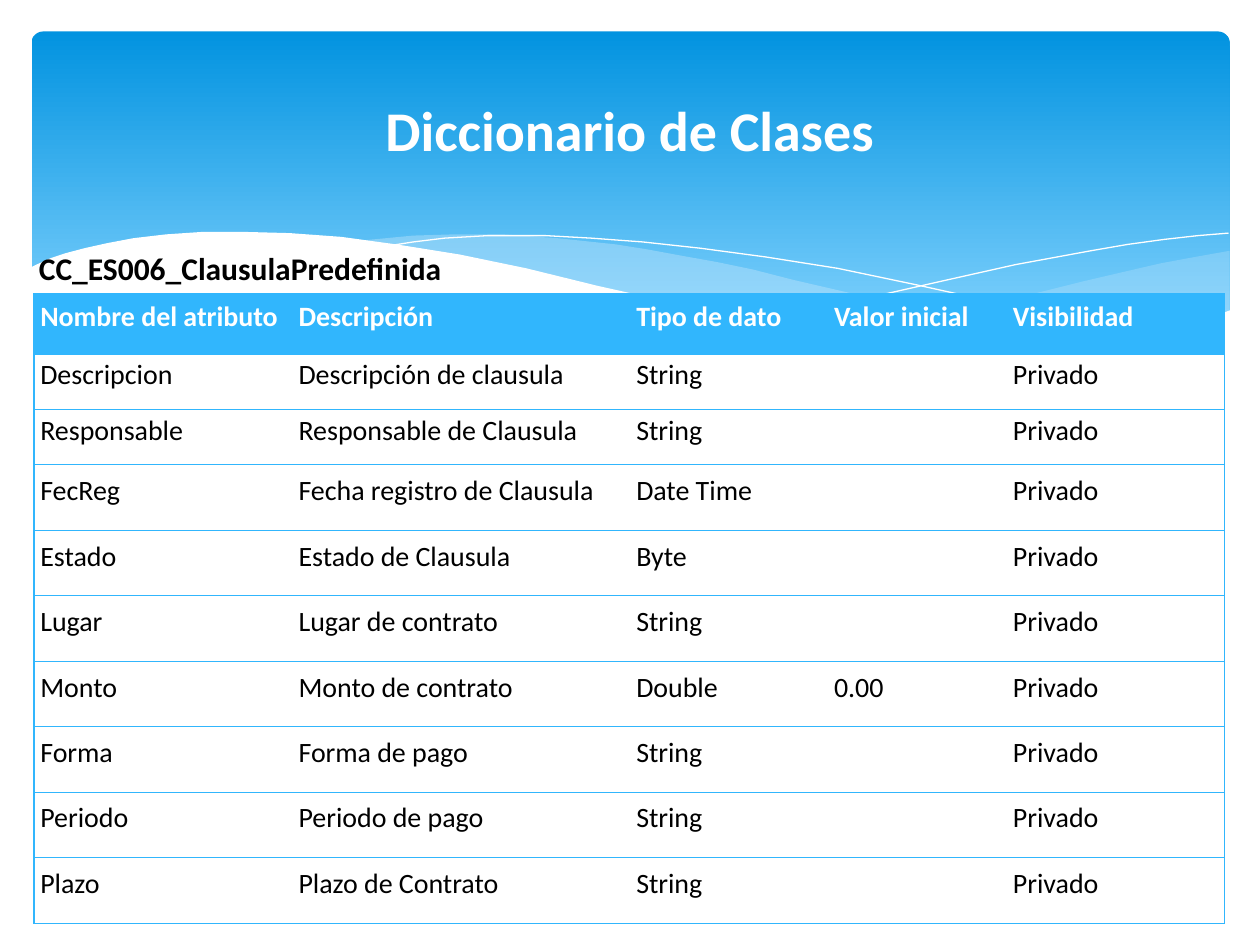
"""Build the class dictionary slide for the predefined clause."""
from lxml.etree import SubElement
from pptx import Presentation
from pptx.dml.color import RGBColor
from pptx.enum.shapes import MSO_SHAPE
from pptx.enum.text import MSO_ANCHOR, PP_ALIGN
from pptx.oxml import parse_xml
from pptx.oxml.ns import nsdecls, qn
from pptx.util import Inches, Pt

COLORS = {"sky": "0293E0", "light_sky": "83D3FE", "mist": "C6E7FC",
          "accent": "31B6FD", "white": "FFFFFF", "black": "000000"}


def write_text(text_frame, text, size=16, color="black", bold=False,
               align=PP_ALIGN.LEFT, spacing=None, anchor=MSO_ANCHOR.TOP):
    text_frame.word_wrap = True
    text_frame.vertical_anchor = anchor
    paragraph = text_frame.paragraphs[0]
    paragraph.alignment = align
    paragraph.line_spacing = spacing
    run = paragraph.add_run()
    run.text = text
    run.font.name = "Calibri"
    run.font.size = Pt(size)
    run.font.bold = bold
    run.font.color.rgb = RGBColor.from_string(COLORS[color])


def set_border(cell, side, position, visible):
    if visible:
        paint = f'<a:solidFill><a:srgbClr val="{COLORS["accent"]}"/></a:solidFill>'
    else:
        paint = "<a:noFill/>"
    border = parse_xml(f'<a:{side} {nsdecls("a")} w="{Pt(0.75)}">{paint}</a:{side}>')
    cell._tc.get_or_add_tcPr().insert(position, border)


presentation = Presentation()
presentation.slide_width = Inches(10)
presentation.slide_height = Inches(7.5)
slide = presentation.slides.add_slide(presentation.slide_layouts[6])

banner = slide.shapes.add_shape(MSO_SHAPE.ROUNDED_RECTANGLE, Inches(0.25), Inches(0.25),
                                Inches(9.51), Inches(2.7))
banner.adjustments[0] = 0.034
banner.shadow.inherit = False
banner.line.fill.background()
banner.fill.gradient()
banner.fill.gradient_angle = 270
for stop, position, color in zip(banner.fill.gradient_stops, (0, 0.9), ("sky", "light_sky")):
    stop.position = position
    stop.color.rgb = RGBColor.from_string(COLORS[color])

right_wave = [
    (9.76, 1.99), (9.48, 2.04), (9.21, 2.09), (8.91, 2.16), (8.61, 2.23), (8.05, 2.37),
    (7.53, 2.48), (7.06, 2.57), (6.61, 2.65), (6.91, 2.69), (7.32, 2.74), (7.69, 2.77),
    (8.03, 2.78), (8.35, 2.77), (8.63, 2.75), (8.89, 2.72), (9.13, 2.67), (9.35, 2.61),
    (9.63, 2.52), (9.76, 2.47)]
middle_wave = [
    (8.93, 2.73), (8.66, 2.69), (8.07, 2.6), (7.41, 2.48), (6.68, 2.31), (6.29, 2.22),
    (5.98, 2.14), (5.69, 2.08), (5.41, 2.03), (5.14, 1.98), (4.89, 1.94), (4.42, 1.89),
    (3.99, 1.86), (3.61, 1.86), (3.28, 1.87), (2.86, 1.91), (3.23, 1.96), (3.62, 2.03),
    (4.04, 2.11), (4.49, 2.22), (4.91, 2.32), (5.3, 2.4), (5.84, 2.52), (6.34, 2.61),
    (6.8, 2.68), (7.22, 2.74), (7.61, 2.77), (7.96, 2.78), (8.28, 2.78), (8.57, 2.77)]
falling_line = [
    (3.09, 1.95), (3.28, 1.92), (3.53, 1.89), (3.87, 1.87), (4.33, 1.87), (4.69, 1.89),
    (5.1, 1.92), (5.56, 1.97), (6.08, 2.04), (6.65, 2.13), (7.27, 2.26), (7.95, 2.41),
    (8.31, 2.51), (9.07, 2.72)]
rising_line = [
    (6.13, 2.57), (6.52, 2.46), (6.95, 2.35), (7.48, 2.23), (8.06, 2.1), (8.66, 1.99),
    (8.95, 1.94), (9.24, 1.9), (9.51, 1.87), (9.75, 1.85)]
front_wave = [
    (9.77, 2.46), (9.5, 2.56), (9.2, 2.65), (8.87, 2.71), (8.5, 2.75), (8.09, 2.77),
    (7.61, 2.75), (7.08, 2.7), (6.68, 2.65), (6.26, 2.58), (5.79, 2.5), (5.29, 2.39),
    (4.75, 2.27), (4.18, 2.13), (3.65, 2.02), (3.15, 1.94), (2.71, 1.88), (2.3, 1.85),
    (1.93, 1.84), (1.61, 1.84), (1.32, 1.86), (1.06, 1.89), (0.85, 1.93), (0.67, 1.97),
    (0.52, 2.01), (0.4, 2.05), (0.29, 2.1), (0.23, 2.13), (0.23, 3.29), (9.77, 3.29)]

for points, fill_color, opacity in (
        (right_wave, "mist", 29), (middle_wave, "mist", 40), (falling_line, None, 100),
        (rising_line, None, 100), (front_wave, "white", 100)):
    vertices = [(Inches(x), Inches(y)) for x, y in points]
    builder = slide.shapes.build_freeform(*vertices[0])
    builder.add_line_segments(vertices[1:], close=fill_color is not None)
    wave = builder.convert_to_shape()
    wave.shadow.inherit = False
    if fill_color is None:
        wave.fill.background()
        wave.line.color.rgb = RGBColor.from_string(COLORS["white"])
        wave.line.width = Pt(0)
    else:
        wave.line.fill.background()
        wave.fill.solid()
        wave.fill.fore_color.rgb = RGBColor.from_string(COLORS[fill_color])
        if opacity < 100:
            color_element = wave._element.spPr.find(qn("a:solidFill"))[0]
            SubElement(color_element, qn("a:alpha")).set("val", str(opacity * 1000))

title = slide.shapes.add_textbox(Inches(0.5), Inches(0.37), Inches(9), Inches(1.37))
write_text(title.text_frame, "Diccionario de Clases", size=32, color="white", bold=True,
           align=PP_ALIGN.CENTER, spacing=0.9, anchor=MSO_ANCHOR.MIDDLE)
class_name = slide.shapes.add_textbox(Inches(0.21), Inches(1.93), Inches(4.65), Inches(0.4))
write_text(class_name.text_frame, "CC_ES006_ClausulaPredefinida", size=18, bold=True)

rows = [("Nombre del atributo", "Descripción", "Tipo de dato", "Valor inicial", "Visibilidad")]
rows += [(name, description, data_type, initial, "Privado")
         for name, description, data_type, initial in (
             ("Descripcion", "Descripción de clausula", "String", ""),
             ("Responsable", "Responsable de Clausula", "String", ""),
             ("FecReg", "Fecha registro de Clausula", "Date Time", ""),
             ("Estado", "Estado de Clausula", "Byte", ""),
             ("Lugar", "Lugar de contrato", "String", ""),
             ("Monto", "Monto de contrato", "Double", "0.00"),
             ("Forma", "Forma de pago", "String", ""),
             ("Periodo", "Periodo de pago", "String", ""),
             ("Plazo", "Plazo de Contrato", "String", ""))]
column_widths = [2.05, 2.68, 1.57, 1.42, 1.73]
row_heights = [0.48, 0.44, 0.44] + [0.52] * 7
last_column = len(column_widths) - 1

table = slide.shapes.add_table(len(rows), len(column_widths), Inches(0.27), Inches(2.33),
                               Inches(9.45), Inches(4.96)).table
table.horz_banding = False
for column, width in zip(table.columns, column_widths):
    column.width = Inches(width)
for row_index, values in enumerate(rows):
    table.rows[row_index].height = Inches(row_heights[row_index])
    header = row_index == 0
    for column_index, value in enumerate(values):
        cell = table.cell(row_index, column_index)
        if header:
            cell.fill.solid()
            cell.fill.fore_color.rgb = RGBColor.from_string(COLORS["accent"])
        else:
            cell.fill.background()
        cell.margin_left = cell.margin_right = Inches(0.05)
        cell.margin_top = cell.margin_bottom = 0
        cell.vertical_anchor = MSO_ANCHOR.MIDDLE
        if value:
            write_text(cell.text_frame, value, color="white" if header else "black",
                       bold=header, spacing=Pt(12), anchor=None)
        visible_sides = (column_index == 0, column_index == last_column, True, True)
        for position, side in enumerate(("lnL", "lnR", "lnT", "lnB")):
            set_border(cell, side, position, visible_sides[position])

presentation.save("out.pptx")
